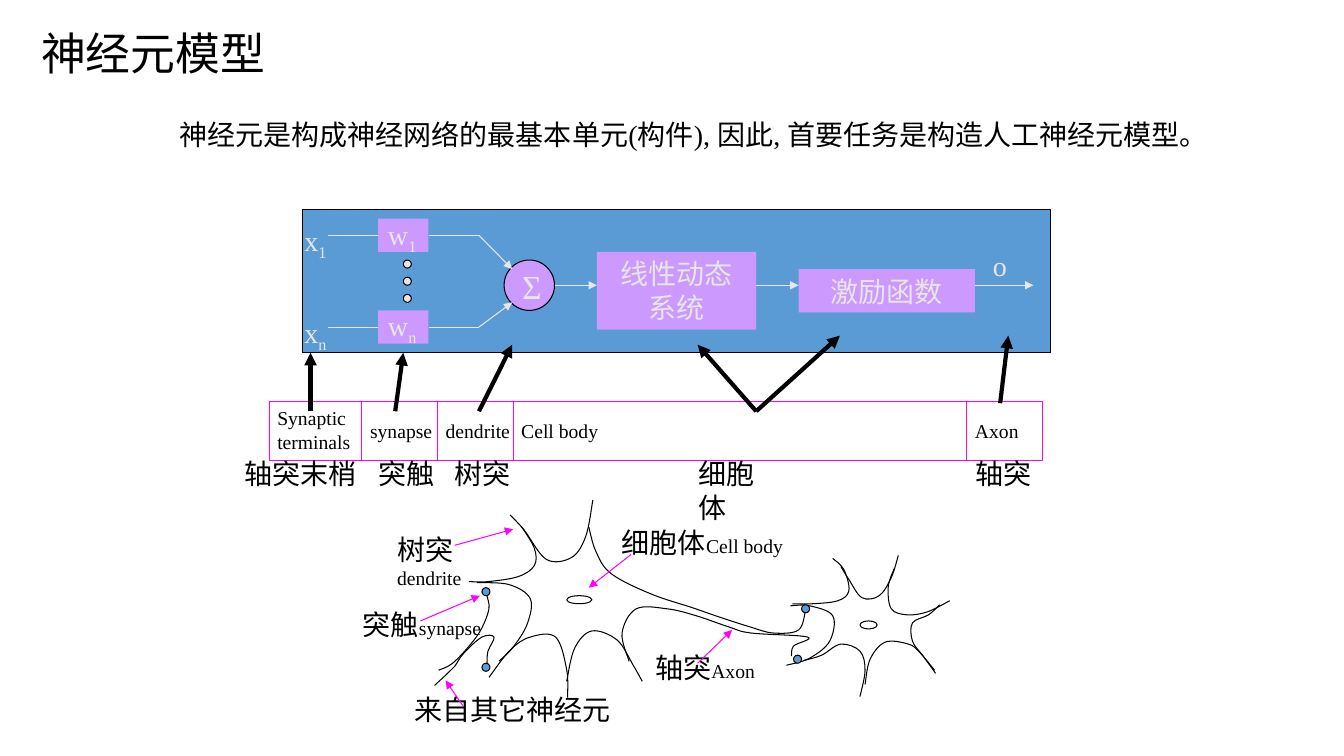
from lxml import etree
from pptx import Presentation
from pptx.dml.color import RGBColor
from pptx.enum.shapes import MSO_CONNECTOR, MSO_SHAPE
from pptx.enum.text import MSO_ANCHOR, MSO_AUTO_SIZE, PP_ALIGN
from pptx.oxml.ns import qn
from pptx.util import Inches, Pt

BLACK, PINK, BLUE, VIOLET, PALE = "000000", "FF00FF", "5B9BD5", "CC99FF", "E7E6E6"
SERIF, SANS = "Times New Roman", "Noto Sans CJK SC"

TITLE = "神经元模型"
INTRO = "神经元是构成神经网络的最基本单元(构件), 因此, 首要任务是构造人工神经元模型。"

# Biological parts: English, width, Chinese, left and width of the Chinese label
PARTS = [
    ("Synaptic\nterminals", 0.92, "轴突末梢", 2.33, 1.31),
    ("synapse", 0.75, "突触", 3.66, 0.76),
    ("dendrite", 0.75, "树突", 4.41, 0.76),
    ("Cell body", 4.5, "细胞体", 6.83, 1.03),
    ("Axon", 0.75, "轴突", 9.58, 0.76),
]
PARTS_LEFT, PARTS_TOP, PARTS_HEIGHT = 2.67, 3.98, 0.59

# Artificial model: subscript, top of weight box, where its line meets the sum
INPUTS = [("1", 2.17, (5.08, 2.67)), ("n", 3.08, (5.08, 3))]
STAGES = [("线性动态系统", 5.92, 2.5, 1.58, 0.77), ("激励函数", 7.92, 2.67, 1.75, 0.43)]
FLOW_Y = 2.83
FLOWS = [(5.5, 5.92), (7.5, 7.92), (9.67, 10.25)]
PART_ARROWS = [
    ((3.08, 4.08), (3.08, 3.5)), ((3.92, 4.08), (4, 3.5)), ((4.75, 4.08), (5.08, 3.42)),
    ((7.5, 4.08), (6.92, 3.42)), ((9.92, 4), (10, 3.33)), ((7.5, 4.08), (8.33, 3.33)),
]

# Membrane outlines, as points on smooth curves
MEMBRANES = [
    [(5.62, 6.76), (5.7, 6.43), (5.87, 6.26), (6.12, 6.35), (6.28, 6.6), (6.37, 6.76)],
    [(4.85, 6.72), (5.06, 6.45), (5.26, 6.32), (5.51, 6.32), (5.62, 6.64), (5.63, 6.92)],
    [(4.73, 5.78), (5.05, 5.8), (5.26, 5.94), (5.23, 6.19), (5.09, 6.42), (4.95, 6.56)],
    [(5.17, 5.22), (5.3, 5.44), (5.3, 5.61), (5.14, 5.72), (4.84, 5.77), (4.65, 5.77)],
    [(5.88, 4.96), (5.81, 5.32), (5.67, 5.53), (5.42, 5.55), (5.2, 5.26), (5.06, 5.11)],
    [(6.24, 6.56), (6.17, 6.28), (6.31, 6.04), (6.62, 6.04), (6.91, 6.11), (7.23, 6.22),
     (7.45, 6.28), (8.01, 6.32), (7.87, 6.41), (7.85, 6.51)],
    [(7.99, 6.05), (7.92, 6.25), (7.67, 6.28), (7.44, 6.22), (7.13, 6.12), (6.87, 6.03),
     (6.45, 5.89), (6.06, 5.69), (5.91, 5.47), (5.84, 5.23)],
    [(8.58, 6.79), (8.63, 6.54), (8.78, 6.37), (9.01, 6.39), (9.12, 6.47), (9.27, 6.65)],
    [(7.98, 6.55), (8.15, 6.5), (8.34, 6.39), (8.53, 6.46), (8.58, 6.65), (8.53, 6.91)],
    [(7.84, 6.01), (8.03, 6.01), (8.26, 6.11), (8.23, 6.36), (8.03, 6.53), (7.8, 6.6)],
    [(8.26, 5.54), (8.37, 5.65), (8.42, 5.86), (8.31, 5.96), (8.05, 5.99), (7.86, 5.99)],
    [(8.91, 5.51), (8.84, 5.73), (8.72, 5.91), (8.55, 5.93), (8.42, 5.75), (8.34, 5.62)],
    [(9.42, 5.96), (9.2, 6.07), (9, 6.1), (8.84, 6.04), (8.81, 5.82), (8.87, 5.64)],
    [(9.28, 6.68), (9.15, 6.5), (9.05, 6.36), (9.05, 6.18), (9.21, 6.1), (9.32, 6)],
    [(4.31, 6.8), (4.44, 6.68), (4.51, 6.61), (4.6, 6.48), (4.78, 6.32), (4.9, 6.32),
     (4.84, 6.46), (4.83, 6.58)],
    [(4.83, 5.91), (4.85, 6.04), (4.78, 6.23), (4.67, 6.39), (4.49, 6.58), (4.35, 6.65)],
]
SYNAPSES = [(7.95, 6), (7.87, 6.5), (4.78, 5.83), (4.78, 6.58)]
NUCLEI = [(8.53, 6.16, 0.17), (5.62, 5.91, 0.25)]

# Neuron labels: Chinese, English, left, top, width, pointer from, pointer to
NEURON_LABELS = [
    ("细胞体", "Cell body", 6.07, 5.16, 1.8, (6.26, 5.5), (5.84, 5.83)),
    ("树突", "dendrite", 3.84, 5.23, 1.39, (4.51, 5.41), (5.09, 5.25)),
    ("突触", "synapse", 3.5, 5.98, 1.38, (4.17, 6.16), (4.76, 5.91)),
    ("轴突", "Axon", 6.4, 6.4, 1.19, (6.92, 6.58), (7.26, 6.25)),
    ("来自其它神经元", "", 4.01, 6.82, 2.15, (4.59, 7), (4.42, 6.75)),
]

prs = Presentation()
prs.slide_width, prs.slide_height = Inches(13.33), Inches(7.5)
shapes = prs.slides.add_slide(prs.slide_layouts[6]).shapes


def rgb(color):
    return RGBColor.from_string(color)


def style_run(run, size, color, font=SERIF):
    run.font.size, run.font.name = Pt(size), font
    run.font.color.rgb = rgb(color)
    etree.SubElement(run._r.get_or_add_rPr(), qn("a:ea"), typeface=SANS)


def write(shape, text, size=20, color=BLACK, font=SERIF, align=PP_ALIGN.LEFT, wrap=True,
          anchor=MSO_ANCHOR.TOP, spacing=None, sub="", english=""):
    frame = shape.text_frame
    frame.text, frame.word_wrap, frame.vertical_anchor = text, wrap, anchor
    for paragraph in frame.paragraphs:
        paragraph.alignment = align
        if spacing:
            paragraph.line_spacing = spacing
        for run in paragraph.runs:
            style_run(run, size, color, font)
    if sub or english:
        ending = frame.paragraphs[0].add_run()
        ending.text = sub or english
        style_run(ending, size if sub else 14, color, font)
        if sub:
            ending._r.get_or_add_rPr().set("baseline", "-25000")


def text_box(text, left, top, width, height=0.43, **options):
    box = shapes.add_textbox(Inches(left), Inches(top), Inches(width), Inches(height))
    write(box, text, **options)
    box.text_frame.auto_size = MSO_AUTO_SIZE.SHAPE_TO_FIT_TEXT


def paint(shape, fill=None, line=None):
    shape.shadow.inherit = False
    if fill:
        shape.fill.solid()
        shape.fill.fore_color.rgb = rgb(fill)
    else:
        shape.fill.background()
    if line:
        shape.line.color.rgb, shape.line.width = rgb(line), Pt(0.75)
    else:
        shape.line.fill.background()


def block(kind, left, top, width, height, fill=None, line=None):
    shape = shapes.add_shape(kind, Inches(left), Inches(top), Inches(width), Inches(height))
    paint(shape, fill, line)
    return shape


def connect(start, end, color=PALE, width=0.75, arrow=True):
    ends = [Inches(v) for v in (*start, *end)]
    connector = shapes.add_connector(MSO_CONNECTOR.STRAIGHT, *ends)
    connector.line.color.rgb, connector.line.width = rgb(color), Pt(width)
    if arrow:
        etree.SubElement(connector.line._get_or_add_ln(), qn("a:tailEnd"), type="triangle")
    etree.SubElement(connector._element.spPr, qn("a:effectLst"))
    return connector


def smooth_curve(points):
    """Draw a curve through the points, each tangent parallel to its neighbours' chord."""
    pts = [(Inches(x), Inches(y)) for x, y in points]
    builder = shapes.build_freeform(*pts[0])
    builder.add_line_segments(pts[1:], close=False)
    curve = builder.convert_to_shape()
    paint(curve, line=BLACK)
    padded = [pts[0], *pts, pts[-1]]
    origin = min(x for x, _ in pts), min(y for _, y in pts)
    for i, segment in enumerate(list(curve._element.iter(qn("a:lnTo")))):
        before, start, end, after = padded[i:i + 4]
        controls = [[start[k] + (end[k] - before[k]) / 6 - origin[k] for k in (0, 1)],
                    [end[k] - (after[k] - start[k]) / 6 - origin[k] for k in (0, 1)]]
        segment.tag = qn("a:cubicBezTo")
        for place, (x, y) in enumerate(controls):
            segment.insert(place, etree.Element(qn("a:pt"), x=str(round(x)), y=str(round(y))))


# Row of biological parts
left = PARTS_LEFT
for english, width, chinese, label_left, label_width in PARTS:
    cell = block(MSO_SHAPE.RECTANGLE, left, PARTS_TOP, width, PARTS_HEIGHT, line=PINK)
    frame = cell.text_frame
    frame.margin_left = frame.margin_right = Inches(0.08)
    write(cell, english, size=14, wrap=False,
          anchor=MSO_ANCHOR.TOP if "\n" in english else MSO_ANCHOR.MIDDLE)
    text_box(chinese, label_left, 4.48, label_width, wrap=False)
    left += width

# Artificial neuron
block(MSO_SHAPE.RECTANGLE, 3, 2.08, 7.42, 1.42, BLUE, BLACK)
block(MSO_SHAPE.OVAL, 5, 2.58, 0.5, 0.5, VIOLET, BLACK)
for sub, top, junction in INPUTS:
    weight = block(MSO_SHAPE.RECTANGLE, 3.75, top, 0.5, 0.33, VIOLET)
    write(weight, "w", color=PALE, spacing=0.7, sub=sub)
    middle = top + 0.33 / 2
    connect((3.25, middle), (3.75, middle), arrow=False).end_connect(weight, 1)
    connect((4.25, middle), (4.75, middle), arrow=False).begin_connect(weight, 3)
    connect((4.75, middle), junction)
    text_box("x", 2.92, top, 0.5, color=PALE, sub=sub)
for i in range(3):
    block(MSO_SHAPE.OVAL, 4, 2.58 + 0.17 * i, 0.08, 0.08, PALE, BLACK)
text_box("Σ", 5.08, 2.67, 0.42, 0.42, size=24, color=PALE, spacing=0.8)
for name, *place in STAGES:
    stage = block(MSO_SHAPE.RECTANGLE, *place, fill=VIOLET)
    write(stage, name, color=PALE, align=PP_ALIGN.CENTER)
for start, end in FLOWS:
    connect((start, FLOW_Y), (end, FLOW_Y))
text_box("o", 9.75, 2.42, 0.34, color=PALE, wrap=False)

# Introduction and links between the parts and the model
text_box(INTRO, 1.68, 1.12, 10.62, 0.44, align=PP_ALIGN.JUSTIFY)
for start, end in PART_ARROWS:
    connect(start, end, BLACK, 3)

# Biological neurons
for membrane in MEMBRANES:
    smooth_curve(membrane)
for x, y in SYNAPSES:
    block(MSO_SHAPE.OVAL, x, y, 0.08, 0.08, BLUE, BLACK)
for x, y, width in NUCLEI:
    block(MSO_SHAPE.OVAL, x, y, width, 0.08, line=BLACK)
for chinese, english, x, y, width, start, end in NEURON_LABELS:
    text_box(chinese, x, y, width, english=english, wrap=bool(english))
    connect(start, end, PINK)

# Title
text_box(TITLE, 0.31, 0.21, 2.45, 0.64, size=32, font=SANS, wrap=False)

prs.save("out.pptx")
